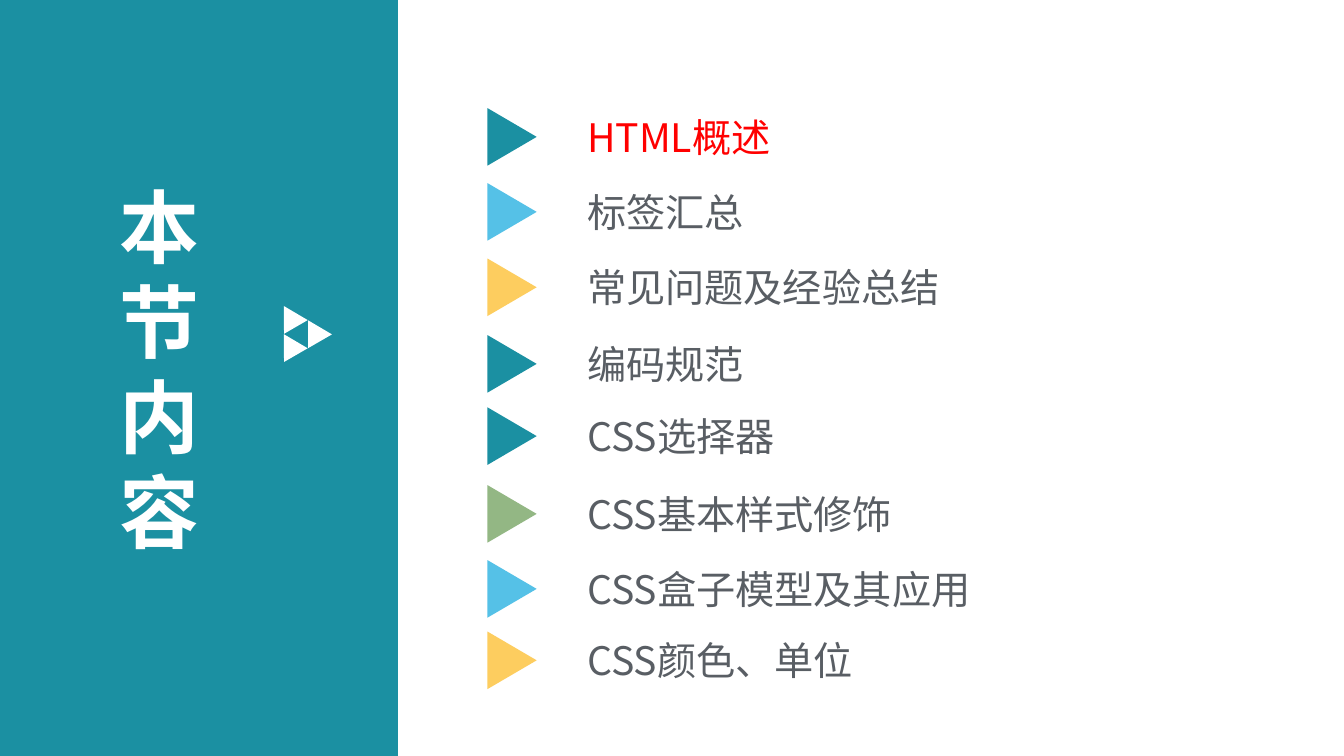
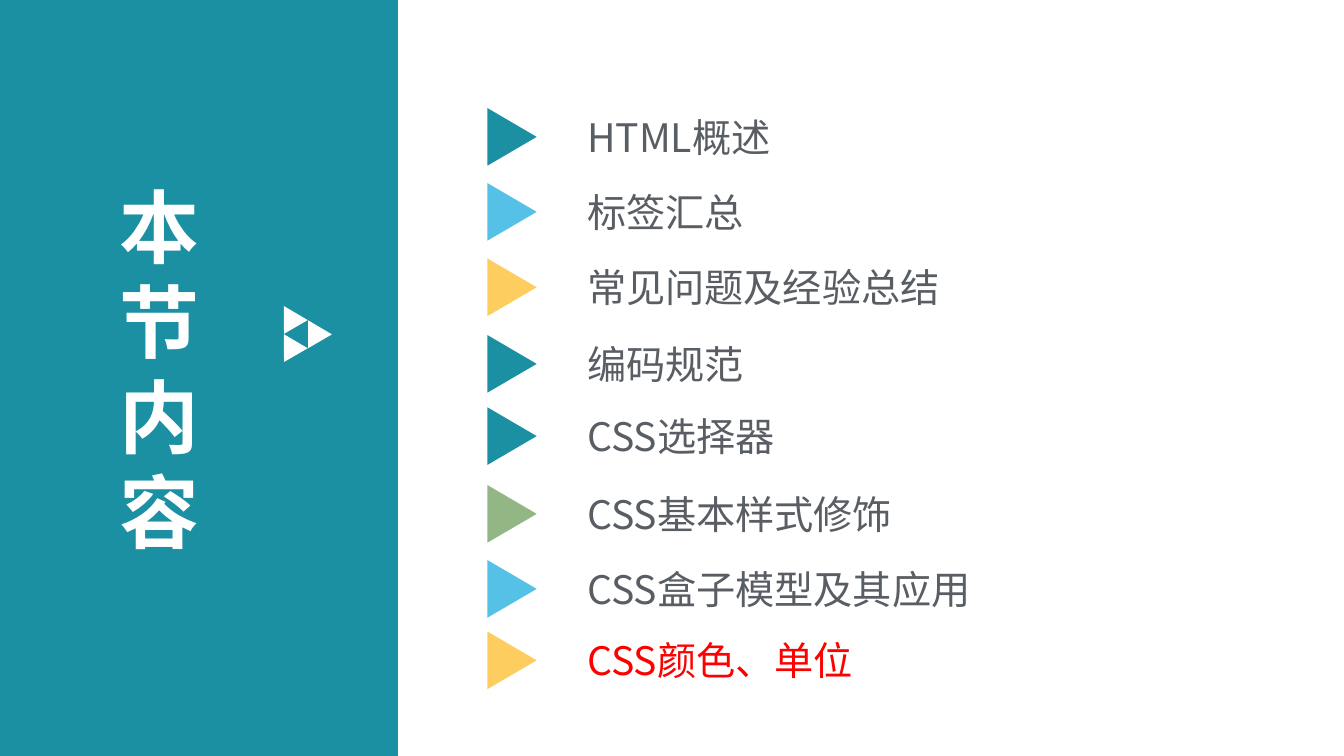
from dataclasses import dataclass

from pptx import Presentation
from pptx.dml.color import RGBColor
from pptx.enum.shapes import MSO_SHAPE as Preset
from pptx.enum.text import MSO_ANCHOR as Anchor, MSO_AUTO_SIZE as AutoSize, PP_ALIGN as Align
from pptx.oxml.ns import qn
from pptx.util import Cm, Pt


@dataclass(frozen=True)
class Theme:
    font: str = "Noto Sans CJK SC"
    teal: str = "1B90A2"
    sky: str = "55C1E7"
    yellow: str = "FDCD5F"
    green: str = "93B784"
    white: str = "FFFFFF"
    text: str = "595E64"
    highlight: str = "FF0000"
    title_size: int = 57
    title_pitch: int = 68
    item_size: int = 28


THEME = Theme()
TITLE = "本节内容"

# Topic, marker colour and centre of its row in cm
TOPICS = [
    ("HTML概述", THEME.teal, 3.45),
    ("标签汇总", THEME.sky, 5.34),
    ("常见问题及经验总结", THEME.yellow, 7.24),
    ("编码规范", THEME.teal, 9.17),
    ("CSS选择器", THEME.teal, 10.99),
    ("CSS基本样式修饰", THEME.green, 12.95),
    ("CSS盒子模型及其应用", THEME.sky, 14.84),
    ("CSS颜色、单位", THEME.yellow, 16.64),
]


def add_plain_shape(shapes, preset, box, color, rotation=0):
    shape = shapes.add_shape(preset, *(Cm(length) for length in box))
    shape.shadow.inherit = False
    shape.fill.solid()
    shape.fill.fore_color.rgb = RGBColor.from_string(color)
    shape.line.fill.background()
    shape.rotation = rotation
    return shape


def write_text(shape, text, size, color, bold=False):
    frame = shape.text_frame
    frame.text = text
    frame.word_wrap = True
    frame.auto_size = AutoSize.NONE
    frame.vertical_anchor = Anchor.MIDDLE
    frame.margin_left = frame.margin_right = Cm(0.3)
    frame.margin_top = frame.margin_bottom = Cm(0.15)
    paragraph = frame.paragraphs[0]
    paragraph.alignment = Align.LEFT
    font = paragraph.font
    font.size, font.bold, font.name = Pt(size), bold, THEME.font
    font.color.rgb = RGBColor.from_string(color)
    # East Asian characters take their own typeface entry
    for properties in shape.element.iter(qn("a:defRPr")):
        east_asian = properties.makeelement(qn("a:ea"), {"typeface": THEME.font})
        properties.find(qn("a:latin")).addnext(east_asian)
    return paragraph


def add_arrow_icon(slide, left, top):
    """Three small triangles that form one arrow pointing right."""
    icon = slide.shapes.add_group_shape()
    for across, down in ((0, 0), (0, 0.71), (0.61, 0.36)):
        box = (left + across, top + down, 0.69, 0.61)
        add_plain_shape(icon.shapes, Preset.ISOSCELES_TRIANGLE, box, THEME.white, 330)


def add_title_band(slide, left, top, width, height):
    band = add_plain_shape(slide.shapes, Preset.RECTANGLE, (left, top, width, height), THEME.teal)
    title = slide.shapes.title
    title.element.addprevious(band.element)
    # The narrow box wraps the title to one character a line
    title.left, title.top = Cm(left + 2.72), Cm(top + 4.27)
    title.width, title.height = Cm(4.42), Cm(10.03)
    paragraph = write_text(title, TITLE, THEME.title_size, THEME.white, bold=True)
    paragraph.line_spacing = Pt(THEME.title_pitch)
    add_arrow_icon(slide, left + 6.96, top + 7.67)


def add_topic_row(slide, left, middle, width, topic, marker_color, text_color):
    marker_width, marker_height, text_height = 1.45, 1.24, 1.5
    marker_box = (left, middle - marker_height / 2, marker_width, marker_height)
    add_plain_shape(slide.shapes, Preset.ISOSCELES_TRIANGLE, marker_box, marker_color, 90)
    text_offset = 2.32
    text_box = slide.shapes.add_textbox(
        Cm(left + text_offset), Cm(middle - text_height / 2),
        Cm(width - text_offset), Cm(text_height))
    write_text(text_box, topic, THEME.item_size, text_color)


def add_agenda_slide(presentation, current):
    slide = presentation.slides.add_slide(presentation.slide_layouts[5])
    add_title_band(slide, 0, 0, 10.03, 19.05)
    for index, (topic, marker_color, middle) in enumerate(TOPICS):
        text_color = THEME.highlight if index == current else THEME.text
        add_topic_row(slide, 12.18, middle, 13.5, topic, marker_color, text_color)


presentation = Presentation()
presentation.slide_width, presentation.slide_height = Cm(33.87), Cm(19.05)
for current in (0, len(TOPICS) - 1):
    add_agenda_slide(presentation, current)
presentation.save("out.pptx")
